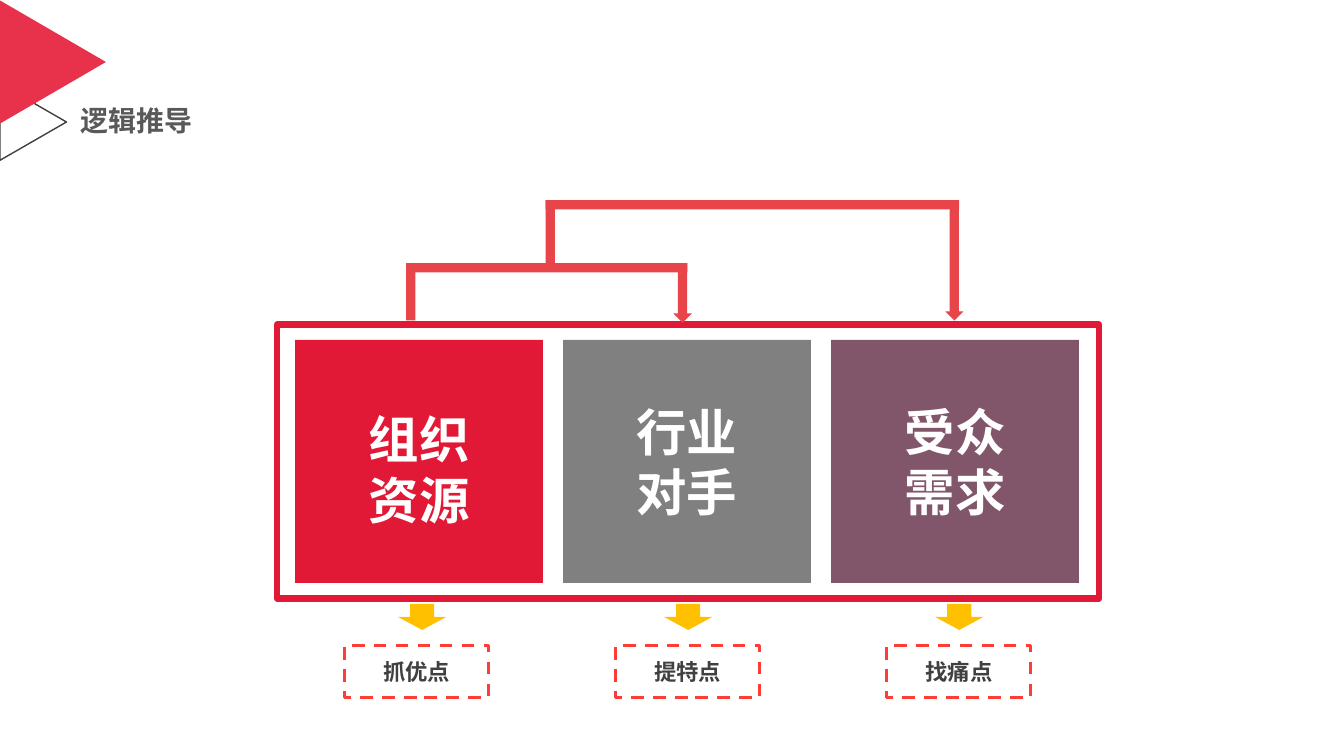
import pptx
import pptx.util
import pptx.dml.color
import pptx.enum.dml
import pptx.enum.shapes
import pptx.enum.text
import pptx.oxml.ns
import lxml.etree

Pt = pptx.util.Pt
SHAPE = pptx.enum.shapes.MSO_SHAPE
ANCHOR = pptx.enum.text.MSO_ANCHOR
ALIGN = pptx.enum.text.PP_ALIGN
AUTO_SIZE = pptx.enum.text.MSO_AUTO_SIZE

COLORS = {
    "red": "E11936", "coral": "E8314A", "gray": "808080", "plum": "82566A",
    "bracket": "E8454A", "dash": "FF3C36", "amber": "FFC000",
    "title": "595959", "dark": "404040", "white": "FFFFFF",
}


class SlideBuilder:
    """Holds the style and the current slide; lengths are in points."""

    font_name = "Noto Sans CJK SC"

    def __init__(self, presentation):
        self.slide = presentation.slides.add_slide(presentation.slide_layouts[5])

    def color(self, name):
        return pptx.dml.color.RGBColor.from_string(COLORS[name])

    def add_text(self, shape, lines, size, color, align=ALIGN.CENTER, anchor=ANCHOR.MIDDLE,
                 side_inset=7.2):
        frame = shape.text_frame
        frame.word_wrap = True
        frame.vertical_anchor = anchor
        frame.margin_left = frame.margin_right = Pt(side_inset)
        frame.margin_top = frame.margin_bottom = Pt(3.6)
        for index, line in enumerate(lines):
            paragraph = frame.add_paragraph() if index else frame.paragraphs[0]
            paragraph.alignment = align
            run = paragraph.add_run()
            run.text = line
            run.font.size = Pt(size)
            run.font.bold = True
            run.font.color.rgb = self.color(color)
            run.font.name = self.font_name
            # East Asian typeface
            properties = run._r.get_or_add_rPr()
            east_asian = lxml.etree.SubElement(properties, pptx.oxml.ns.qn("a:ea"))
            east_asian.set("typeface", self.font_name)
        return frame

    def title(self, text, left, top, width, height):
        shape = self.slide.shapes.title
        shape.left, shape.top, shape.width, shape.height = map(Pt, (left, top, width, height))
        frame = self.add_text(shape, [text], 20, "title", ALIGN.LEFT, side_inset=3.6)
        frame.word_wrap = False
        frame.auto_size = AUTO_SIZE.SHAPE_TO_FIT_TEXT
        frame.paragraphs[0].line_spacing = 0.9

    def shape(self, kind, left, top, width, height, fill=None, line=None, weight=1,
              dashed=False, rotation=0):
        shape = self.slide.shapes.add_shape(kind, Pt(left), Pt(top), Pt(width), Pt(height))
        shape.shadow.inherit = False
        shape.rotation = rotation
        if fill:
            shape.fill.solid()
            shape.fill.fore_color.rgb = self.color(fill)
        else:
            shape.fill.background()
        if line:
            shape.line.color.rgb = self.color(line)
            shape.line.width = Pt(weight)
            if dashed:
                shape.line.dash_style = pptx.enum.dml.MSO_LINE.DASH
        else:
            shape.line.fill.background()
        return shape

    def text_box(self, lines, left, top, width, height, size, color, anchor=ANCHOR.MIDDLE):
        box = self.slide.shapes.add_textbox(Pt(left), Pt(top), Pt(width), Pt(height))
        frame = self.add_text(box, lines, size, color, anchor=anchor)
        frame.auto_size = AUTO_SIZE.SHAPE_TO_FIT_TEXT

    def bracket(self, left, top, width, stem_height, arrow_height):
        """A stem, a horizontal bar and an arrow down at its right end."""
        bar, head = 6.7, 13.2
        self.shape(SHAPE.RECTANGLE, left, top, bar, stem_height, "bracket")
        self.shape(SHAPE.RECTANGLE, left, top, width, bar, "bracket")
        self.shape(SHAPE.DOWN_ARROW, left + width - (bar + head) / 2, top,
                   head, arrow_height, "bracket")


def main():
    presentation = pptx.Presentation()
    presentation.slide_width, presentation.slide_height = Pt(960.5), Pt(540)
    builder = SlideBuilder(presentation)

    # Corner triangles and title
    builder.shape(SHAPE.ISOSCELES_TRIANGLE, -3.6, 63.4, 54.7, 47.5, line="dark", rotation=90)
    builder.shape(SHAPE.ISOSCELES_TRIANGLE, -6, 6.5, 87.8, 75.6, "coral", rotation=90)
    builder.title("逻辑推导", 54, 72.7, 87.8, 29.5)

    # Frame with three cards
    builder.shape(SHAPE.RECTANGLE, 198, 231.8, 587.5, 195.8, line="red", weight=4.5)
    cards = [builder.shape(SHAPE.RECTANGLE, 211 + 191.5 * column, 242.8, 177, 173.5, fill)
             for column, fill in enumerate(("red", "gray", "plum"))]
    builder.text_box(["组织资源"], 249.8, 288, 99.4, 94.3, 36, "white", ANCHOR.TOP)
    builder.add_text(cards[1], ["行业", "对手"], 36, "white")
    builder.text_box(["受众", "需求"], 632.9, 282.2, 99.4, 94.3, 36, "white")

    # Arrows down to the dashed conclusions
    conclusions = (("抓优点", 284.4), ("提特点", 474.5), ("找痛点", 668.2))
    for column, (text, arrow_left) in enumerate(conclusions):
        builder.shape(SHAPE.DOWN_ARROW, arrow_left, 431.3, 34.6, 18.7, "amber")
        box = builder.shape(SHAPE.RECTANGLE, 246.4 + 193.7 * column, 460.8, 103, 37.4,
                            line="dash", weight=2.25, dashed=True)
        builder.add_text(box, [text], 16, "dark")

    # Brackets linking the cards
    builder.bracket(290.2, 188, 201, 41, 42.5)
    builder.bracket(390, 143, 295.4, 46, 86)

    presentation.save("out.pptx")


if __name__ == "__main__":
    main()
